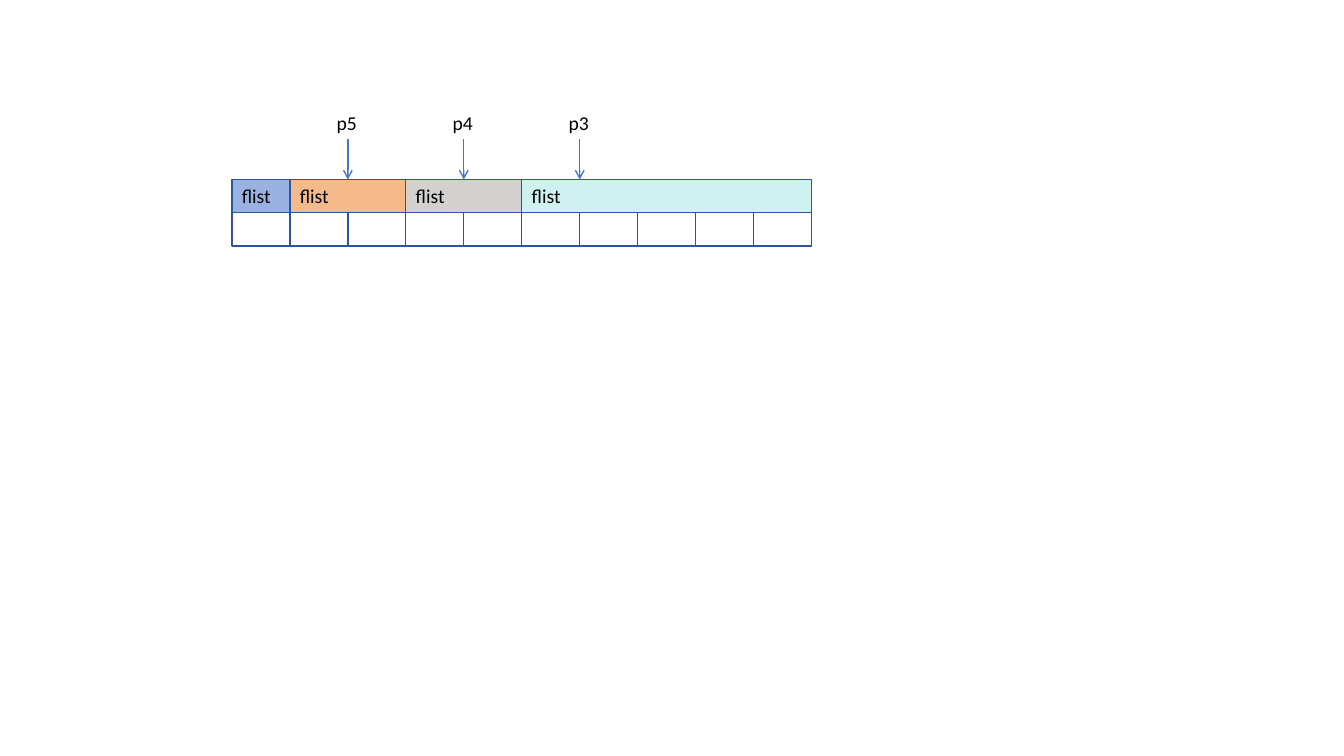
import pptx
import pptx.dml.color
import pptx.enum.shapes
import pptx.enum.text
import pptx.util
from lxml import etree
from pptx.oxml.ns import qn
from pptx.util import Inches

# Content: label, cells spanned, fill, pointer aimed one cell into the block
BLOCKS = [
    ("flist", 1, "4874CB", None),
    ("flist", 2, "EE822F", "p5"),
    ("flist", 2, "AFABAB", "p4"),
    ("flist", 5, "A9E9E4", "p3"),
]
THEME = {"font": "Calibri", "size": 14, "text": "000000", "border": "2E54A1",
         "arrow": "4874CB", "line": 1, "opacity": 55}

# Layout in inches
LEFT, BLOCK_TOP = 2.3, 1.78
CELL_W, CELL_H = 0.575, 0.33
LABEL_TOP, LABEL_W, LABEL_H = 1.05, 0.42, 0.33


def rgb(name):
    return pptx.dml.color.RGBColor.from_string(name)


def write(s, text):
    tf = s.text_frame
    tf.text = text
    p = tf.paragraphs[0]
    p.alignment = pptx.enum.text.PP_ALIGN.LEFT
    font = p.runs[0].font
    font.name = THEME["font"]
    font.size = pptx.util.Pt(THEME["size"])
    font.color.rgb = rgb(THEME["text"])


def add_box(slide, column, top, span=1, fill=None):
    s = slide.shapes.add_shape(
        pptx.enum.shapes.MSO_SHAPE.RECTANGLE, Inches(LEFT + column * CELL_W),
        Inches(top), Inches(span * CELL_W), Inches(CELL_H))
    s.shadow.inherit = False
    s.line.color.rgb = rgb(THEME["border"])
    s.line.width = pptx.util.Pt(THEME["line"])
    if fill:
        s.fill.solid()
        s.fill.fore_color.rgb = rgb(fill)
        color = s.fill._xPr.find(qn("a:solidFill"))[0]
        etree.SubElement(color, qn("a:alpha"), val=str(THEME["opacity"] * 1000))
    else:
        s.fill.background()
    return s


def add_pointer(slide, text, column, block, centred):
    x = LEFT + column * CELL_W
    label = slide.shapes.add_textbox(
        Inches(x - LABEL_W / 2), Inches(LABEL_TOP), Inches(LABEL_W), Inches(LABEL_H))
    label.text_frame.word_wrap = False
    label.text_frame.auto_size = pptx.enum.text.MSO_AUTO_SIZE.SHAPE_TO_FIT_TEXT
    write(label, text)

    arrow = slide.shapes.add_connector(
        pptx.enum.shapes.MSO_CONNECTOR.STRAIGHT, Inches(x),
        Inches(LABEL_TOP + LABEL_H), Inches(x), Inches(BLOCK_TOP))
    arrow.begin_connect(label, 2)
    if centred:
        arrow.end_connect(block, 0)
    arrow.line.color.rgb = rgb(THEME["arrow"])
    arrow.line.width = pptx.util.Pt(THEME["line"])
    etree.SubElement(arrow.line._get_or_add_ln(), qn("a:tailEnd"), type="arrow")
    etree.SubElement(arrow._element.spPr, qn("a:effectLst"))


def main():
    prs = pptx.Presentation()
    prs.slide_width, prs.slide_height = Inches(13.33), Inches(7.5)
    slide = prs.slides.add_slide(prs.slide_layouts[6])

    # Memory cells
    for column in range(sum(span for _, span, _, _ in BLOCKS)):
        add_box(slide, column, BLOCK_TOP + CELL_H)

    # Blocks and their pointers
    column = 0
    for text, span, fill, pointer in BLOCKS:
        block = add_box(slide, column, BLOCK_TOP, span, fill)
        block.text_frame.vertical_anchor = pptx.enum.text.MSO_ANCHOR.MIDDLE
        write(block, text)
        if pointer:
            add_pointer(slide, pointer, column + 1, block, span == 2)
        column += span

    prs.save("out.pptx")


if __name__ == "__main__":
    main()
